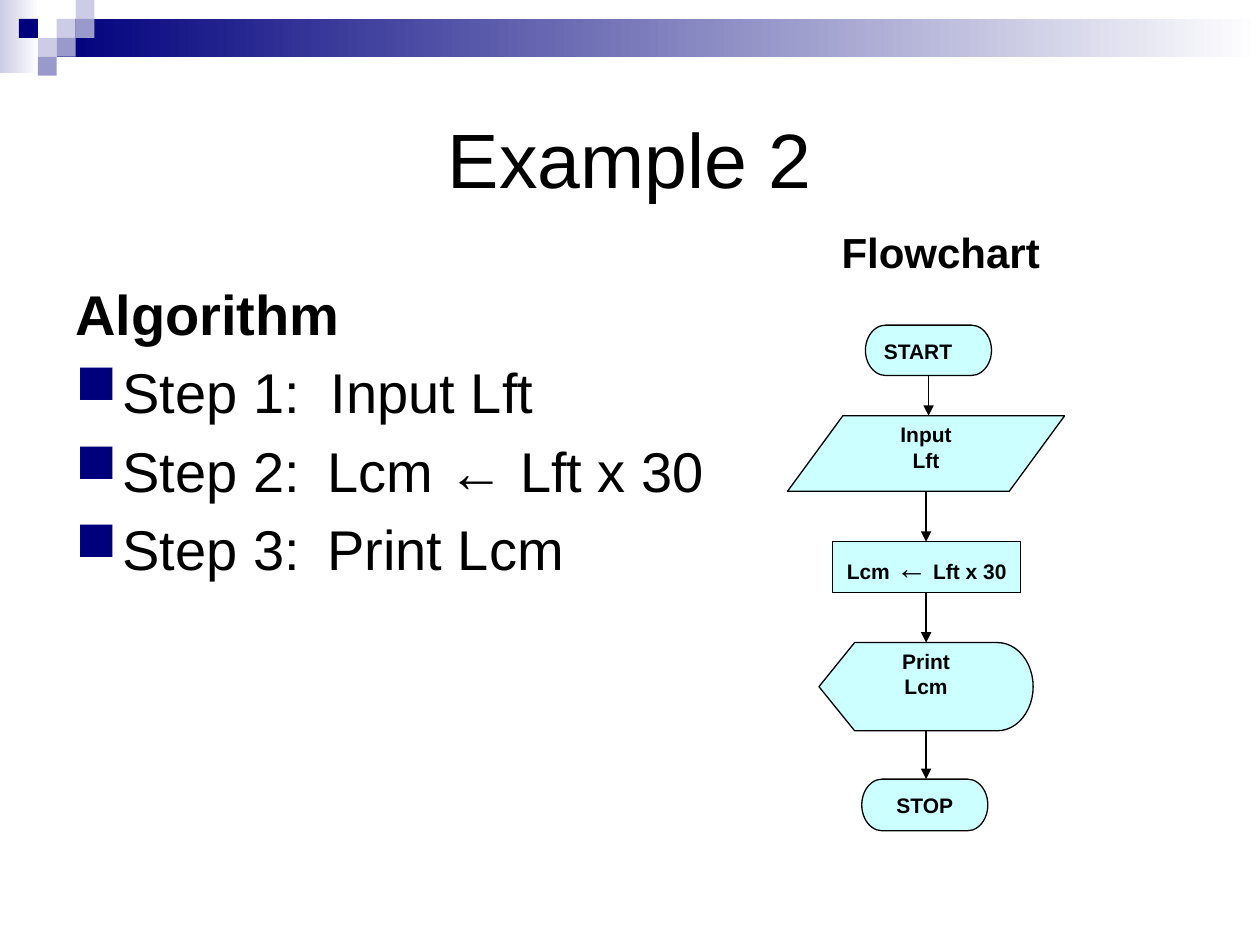
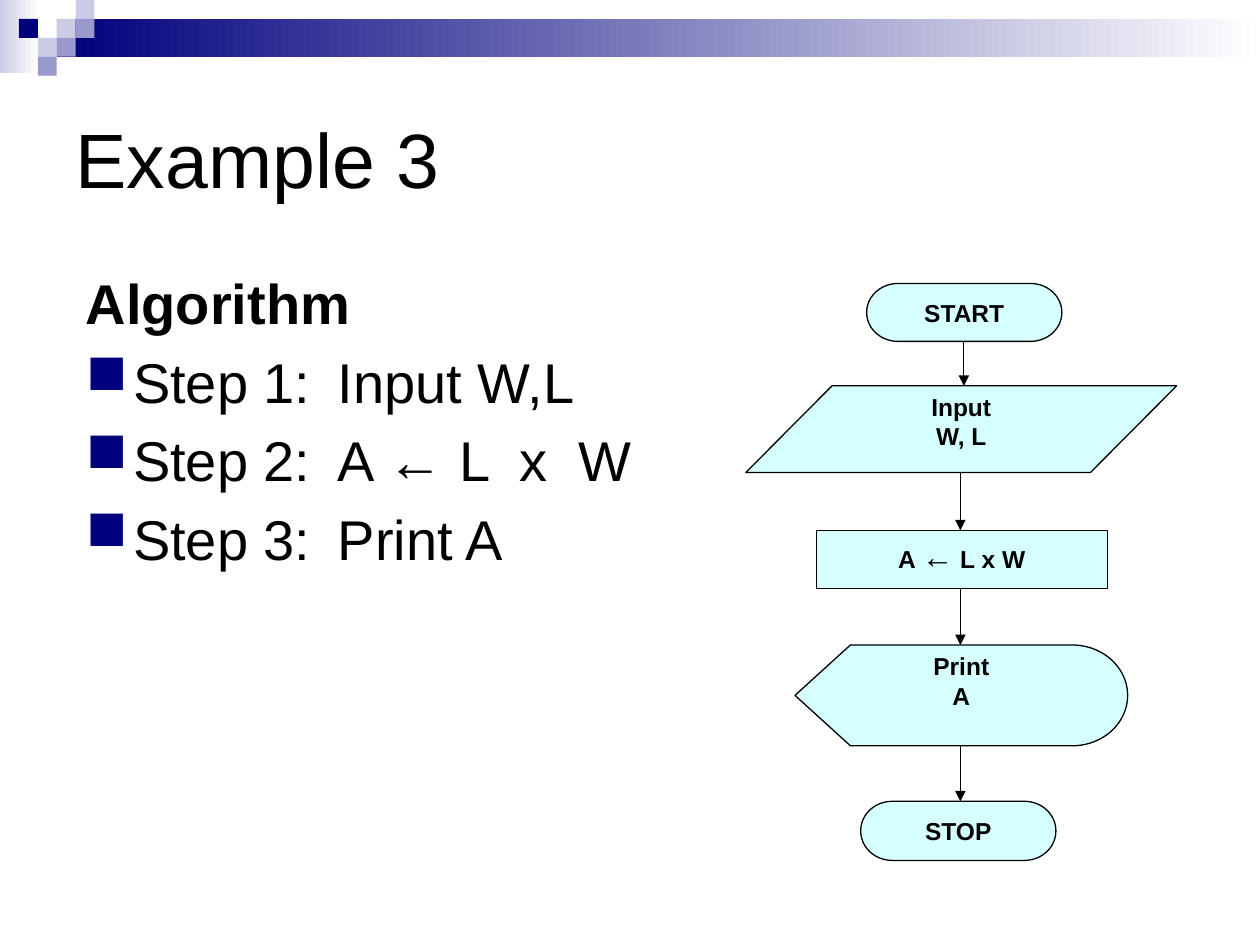
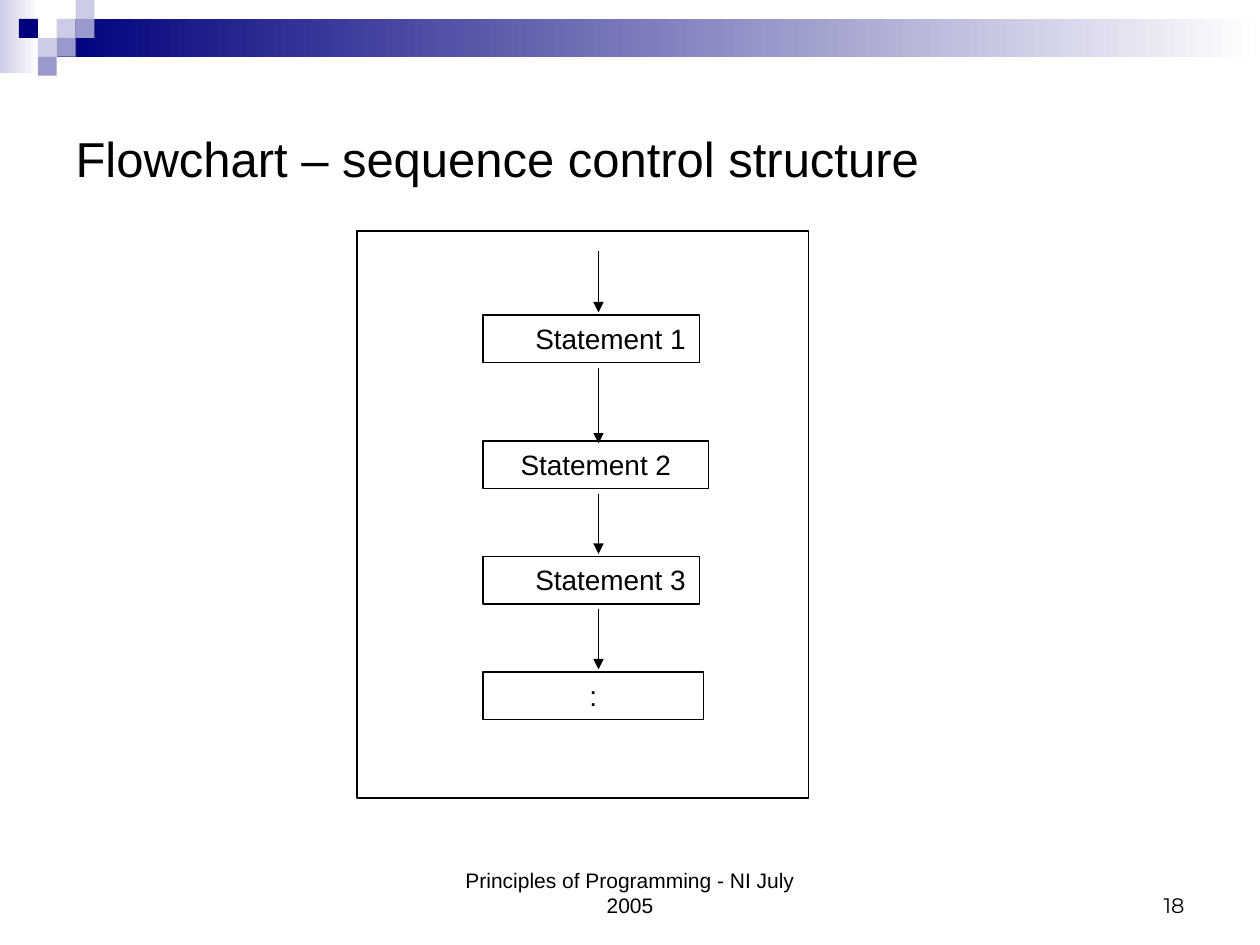
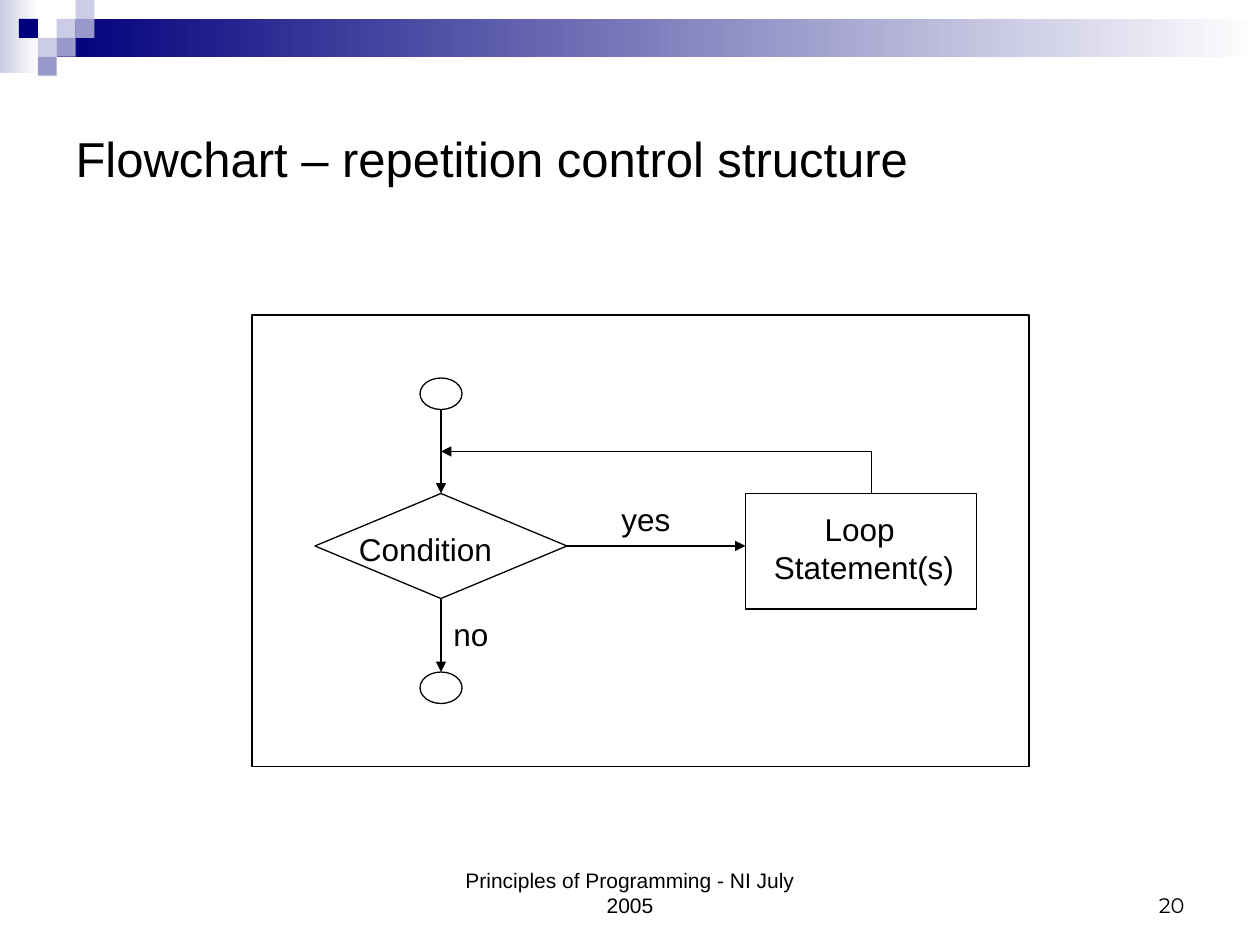
from lxml import etree
from pptx import Presentation
from pptx import util as u
from pptx.dml.color import RGBColor
from pptx.enum import shapes, text
from pptx.oxml.ns import qn

COLOURS = {
    "text": "000000",
    "line": "000000",
    "navy": "00007D",
    "mid": "9999CC",
    "pale": "CCCCE6",
    "white": "FFFFFF",
    "node": "CCFFFF",
}
FONT = "Arial"
LINE_WIDTH = 0.75
INDENT = 27
FOOTER = "Principles of Programming - NI July 2005"

LEFT, CENTRE, RIGHT = text.PP_ALIGN.LEFT, text.PP_ALIGN.CENTER, text.PP_ALIGN.RIGHT
TOP, MIDDLE, BOTTOM = (text.MSO_ANCHOR.TOP, text.MSO_ANCHOR.MIDDLE,
                       text.MSO_ANCHOR.BOTTOM)
KIND = shapes.MSO_SHAPE
ARROW = ("\u2190", {"size": 18, "bold": False})


def colour(name):
    """Return the named colour as an RGBColor."""
    return RGBColor.from_string(COLOURS[name])


def add_text(frame, content, size=18, bold=False, font=FONT, align=LEFT,
             before=0, margin=0, hanging=0, bullet=None):
    """Add one paragraph; content is a string or a list of (text, overrides)."""
    paragraph = frame.add_paragraph() if frame.text else frame.paragraphs[0]
    paragraph.alignment = align
    paragraph.space_before = u.Pt(before)
    properties = paragraph._p.get_or_add_pPr()
    properties.set("marL", str(u.Pt(margin)))
    properties.set("indent", str(u.Pt(-hanging)))
    if bullet:
        tint = etree.SubElement(properties, qn("a:buClr"))
        etree.SubElement(tint, qn("a:srgbClr"), val=COLOURS["navy"])
        etree.SubElement(properties, qn("a:buChar"), char=bullet)
    runs = [(content, {})] if isinstance(content, str) else content
    for words, overrides in runs:
        style = {"size": size, "bold": bold, **overrides}
        run = paragraph.add_run()
        run.text = words
        run.font.name = font
        run.font.size = u.Pt(style["size"])
        run.font.bold = style["bold"]
        run.font.color.rgb = colour("text")


class Deck:
    """Holds the presentation, its shared style and the current slide."""

    def __init__(self):
        """Start a 10 by 7.5 inch presentation."""
        self.presentation = Presentation()
        self.presentation.slide_width = u.Pt(720)
        self.presentation.slide_height = u.Pt(540)
        self.layout = self.presentation.slide_layouts.get_by_name("Title Only")
        self.slide = None

    def new_slide(self, title, size=44, align=LEFT, number=None):
        """Add a slide with its title and, if numbered, its footer."""
        first = self.slide is None
        self.slide = self.presentation.slides.add_slide(self.layout)
        if first:
            self.band()
        shape = self.slide.shapes.title
        shape.left, shape.top = u.Pt(36), u.Pt(36)
        shape.width, shape.height = u.Pt(648), u.Pt(108)
        shape.text_frame.auto_size = text.MSO_AUTO_SIZE.NONE
        shape.text_frame.vertical_anchor = MIDDLE
        add_text(shape.text_frame, title, size=size, align=align)
        if number:
            self.label(FOOTER, 246, 492, 228, 36, anchor=BOTTOM,
                       size=12, align=CENTRE)
            self.label(number, 516, 492, 168, 36, anchor=BOTTOM,
                       size=12, align=RIGHT, font="Montserrat")

    def band(self):
        """Draw the top band and its squares once, on the layout."""
        unit = 10.8
        parts = [
            self.shape(KIND.RECTANGLE, 0, 0, 22.3, 41.8,
                       gradient=("pale", "white"), line=False),
            self.shape(KIND.RECTANGLE, 3 * unit, unit, 720 - 3 * unit, 2 * unit,
                       gradient=("navy", "white"), line=False),
        ]
        squares = [(3, 1, "pale"), (4, 0, "pale"), (4, 1, "mid"), (2, 2, "pale"),
                   (1, 1, "navy"), (3, 2, "mid"), (2, 3, "mid")]
        for column, row, fill in squares:
            parts.append(self.shape(KIND.RECTANGLE, column * unit, row * unit,
                                    unit, unit, fill=fill, line=False))
        for index, part in enumerate(parts):
            part.element.nvSpPr.cNvPr.set("id", str(100 + index))
            self.layout.shapes.element.append(part.element)

    def shape(self, kind, left, top, width, height, lines=(), fill=None,
              gradient=None, alpha=None, line=True, **format):
        """Add a preset shape with optional fill, outline and lines of text."""
        shape = self.slide.shapes.add_shape(
            kind, u.Pt(left), u.Pt(top), u.Pt(width), u.Pt(height))
        shape.shadow.inherit = False
        if gradient:
            shape.fill.gradient()
            shape.fill.gradient_angle = 0
            for stop, name in zip(shape.fill.gradient_stops, gradient):
                stop.color.rgb = colour(name)
        elif fill:
            shape.fill.solid()
            shape.fill.fore_color.rgb = colour(fill)
            if alpha:
                solid = shape.element.spPr.find(qn("a:solidFill"))
                etree.SubElement(solid[0], qn("a:alpha"), val=str(alpha * 1000))
        else:
            shape.fill.background()
        if line:
            shape.line.color.rgb = colour("line")
            shape.line.width = u.Pt(LINE_WIDTH)
        else:
            shape.line.fill.background()
        shape.text_frame.vertical_anchor = TOP
        for content in lines:
            add_text(shape.text_frame, content, **{"align": CENTRE, **format})
        return shape

    def label(self, content, left, top, width, height, anchor=TOP, wrap=True,
              **format):
        """Add a text box with one paragraph and return its text frame."""
        box = self.slide.shapes.add_textbox(
            u.Pt(left), u.Pt(top), u.Pt(width), u.Pt(height))
        frame = box.text_frame
        frame.word_wrap = wrap
        frame.vertical_anchor = anchor
        add_text(frame, content, **format)
        return frame

    def line(self, x1, y1, x2, y2, arrow=True):
        """Add a straight line, with an arrowhead at its end by default."""
        connector = self.slide.shapes.add_connector(
            shapes.MSO_CONNECTOR.STRAIGHT, u.Pt(x1), u.Pt(y1), u.Pt(x2), u.Pt(y2))
        connector.line.color.rgb = colour("line")
        connector.line.width = u.Pt(LINE_WIDTH)
        properties = connector.element.spPr
        if arrow:
            etree.SubElement(properties.find(qn("a:ln")), qn("a:tailEnd"),
                             type="triangle")
        etree.SubElement(properties, qn("a:effectLst"))

    def algorithm(self, left, top, steps):
        """Add the Algorithm heading and its bulleted steps."""
        frame = self.label("Algorithm", left, top, 648, 306, size=32, bold=True,
                           margin=INDENT, hanging=INDENT)
        for step in steps:
            add_text(frame, step, size=32, before=6.4, margin=INDENT,
                     hanging=INDENT, bullet="\u25a0")

    def flowchart(self, nodes, axes, size, alpha=None, start_align=CENTRE):
        """Add nodes from top to bottom and join each to the next by an arrow."""
        for index, (kind, left, top, width, height, lines) in enumerate(nodes):
            self.shape(kind, left, top, width, height, lines, fill="node",
                       alpha=alpha, size=size, bold=True,
                       align=CENTRE if index else start_align)
        for upper, lower, x in zip(nodes, nodes[1:], axes):
            self.line(x, upper[2] + upper[4], x, lower[2])


def example_two(deck):
    """Build the feet to centimetres example."""
    deck.new_slide("Example 2", align=CENTRE)
    deck.algorithm(36, 156.2, ["Step 1:  Input Lft",
                               "Step 2: \tLcm \u2190 Lft x 30",
                               "Step 3: \tPrint Lcm"])
    deck.flowchart([
        (KIND.FLOWCHART_TERMINATOR, 494.6, 185.8, 72, 28.8, ["START"]),
        (KIND.FLOWCHART_DATA, 450, 237.6, 158.4, 43.2, ["Input", "Lft"]),
        (KIND.FLOWCHART_PROCESS, 475.9, 309.6, 107.3, 28.8,
         [[("Lcm ", {}), ARROW, (" Lft x 30", {})]]),
        (KIND.FLOWCHART_DISPLAY, 468, 367.2, 122.4, 50.4, ["Print", "Lcm"]),
        (KIND.FLOWCHART_TERMINATOR, 492.5, 445.2, 72, 29.5, ["STOP"]),
    ], axes=[530.6] + [529.2] * 3, size=12, start_align=LEFT)
    deck.label("Flowchart", 473.8, 126, 174.2, 36, size=24, bold=True)


def example_three(deck):
    """Build the rectangle area example."""
    deck.new_slide("Example 3")
    deck.algorithm(42, 150, ["Step 1: \tInput W,L",
                             "Step 2: \tA \u2190 L  x  W",
                             "Step 3: \tPrint A"])
    deck.flowchart([
        (KIND.FLOWCHART_TERMINATOR, 495.2, 162, 111.6, 33.1, ["START"]),
        (KIND.FLOWCHART_DATA, 426.2, 220.5, 246.2, 49.5, ["Input", "W, L"]),
        (KIND.FLOWCHART_PROCESS, 466.4, 303.1, 166.3, 33.1,
         [[("A ", {}), ARROW, (" L x W", {})]]),
        (KIND.FLOWCHART_DISPLAY, 454.3, 368.6, 190.1, 57.6, ["Print", "A"]),
        (KIND.FLOWCHART_TERMINATOR, 491.8, 457.9, 111.6, 33.8, ["STOP"]),
    ], axes=[550.8] + [548.8] * 3, size=14, alpha=80)


def sequence(deck):
    """Build the sequence control structure."""
    deck.new_slide("Flowchart \u2013 sequence control structure", size=28,
                   number="18")
    deck.shape(KIND.RECTANGLE, 204, 132, 258, 324)
    statements = [("Statement 1", 180, 123.8, 22, 143.3),
                  ("Statement 2", 252, 129, 0, 210.2),
                  ("Statement 3", 318, 123.8, 22, 282.2),
                  (":", 384, 126, 0, 348)]
    for words, top, width, margin, arrow_top in statements:
        box = deck.shape(KIND.RECTANGLE, 276, top, width, 27.2, [words],
                         size=16, margin=margin)
        box.text_frame.auto_size = text.MSO_AUTO_SIZE.SHAPE_TO_FIT_TEXT
        arrow_end = top + 1.4 if words == "Statement 2" else top - 1.5
        deck.line(342, arrow_top, 342, arrow_end)


def repetition(deck):
    """Build the repetition control structure."""
    deck.new_slide("Flowchart \u2013 repetition control structure", size=28,
                   number="20")
    deck.shape(KIND.RECTANGLE, 144, 180, 444, 258)
    deck.label("Condition", 198, 299.5, 90.7, 29, wrap=False)
    deck.shape(KIND.FLOWCHART_DECISION, 180, 282, 144, 60)
    deck.shape(KIND.FLOWCHART_PROCESS, 426, 282, 132, 66)
    frame = deck.label("Loop ", 426, 288, 135.4, 50.4, align=CENTRE)
    add_text(frame, "Statement(s)", align=CENTRE)
    for top in (216, 384):
        deck.shape(KIND.OVAL, 240, top, 24, 18)
    deck.line(252, 234, 252, 282)
    deck.line(324, 312, 426, 312)
    deck.line(498, 282, 498, 258, arrow=False)
    deck.line(498, 258, 252, 258)
    deck.line(252, 342, 252, 384)
    deck.label("yes", 348, 282, 54, 29)
    deck.label("no", 252, 348, 54, 29)


def main():
    """Build all slides and save them."""
    deck = Deck()
    for build in (example_two, example_three, sequence, repetition):
        build(deck)
    deck.presentation.save("out.pptx")


main()
